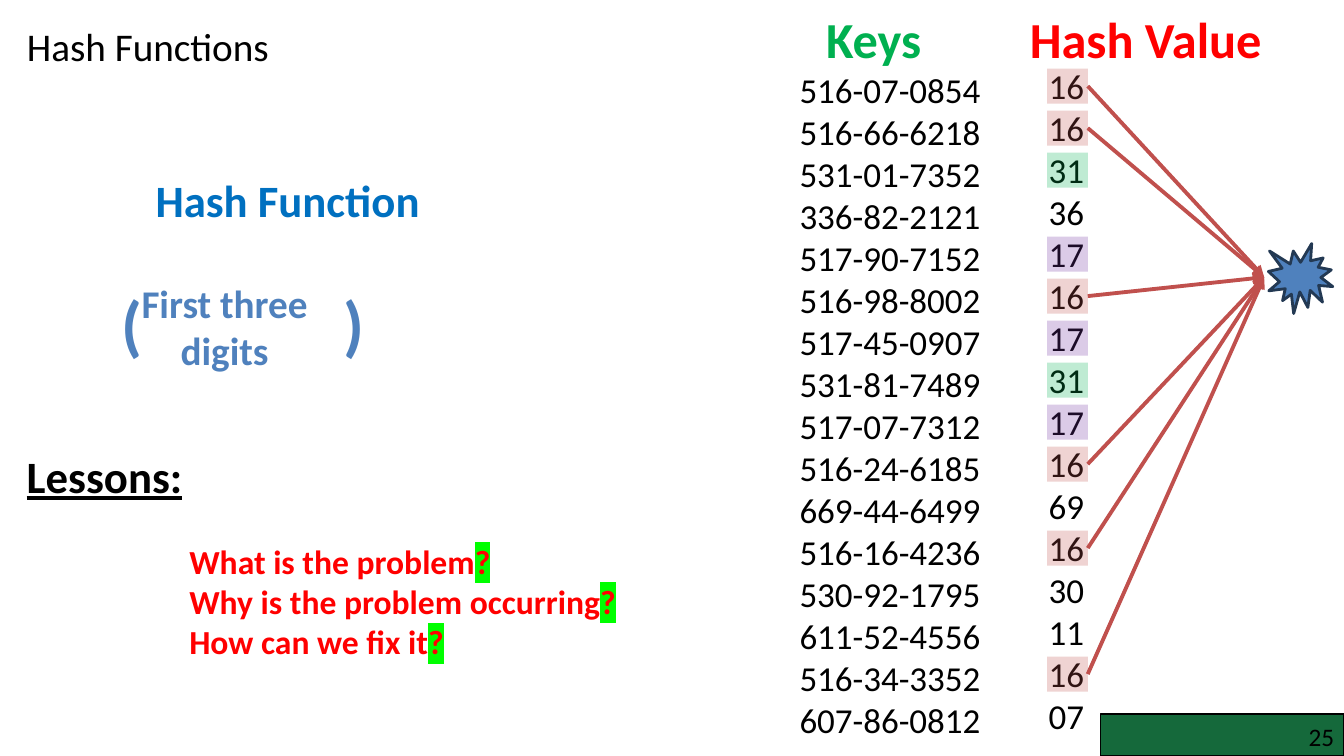
from lxml.etree import SubElement
from pptx import Presentation
from pptx.dml.color import RGBColor
from pptx.enum.shapes import MSO_CONNECTOR, MSO_SHAPE
from pptx.enum.text import MSO_ANCHOR, MSO_AUTO_SIZE, PP_ALIGN
from pptx.oxml import parse_xml
from pptx.oxml.ns import nsdecls, qn
from pptx.util import Pt

BLACK = RGBColor(0x00, 0x00, 0x00)
RED = RGBColor(0xFF, 0x00, 0x00)
LIME = RGBColor(0x00, 0xFF, 0x00)
GREEN = RGBColor(0x00, 0xB0, 0x50)
PURPLE = RGBColor(0x70, 0x30, 0xA0)
BRICK = RGBColor(0xC0, 0x50, 0x4D)
AZURE = RGBColor(0x00, 0x70, 0xC0)
BLUE = RGBColor(0x4F, 0x81, 0xBD)
NAVY = RGBColor(0x23, 0x39, 0x53)
FOREST = RGBColor(0x15, 0x69, 0x3B)

FONT = "Calibri"
PITCH = 30
ROWS = [
    ("516-07-0854", "16"), ("516-66-6218", "16"), ("531-01-7352", "31"),
    ("336-82-2121", "36"), ("517-90-7152", "17"), ("516-98-8002", "16"),
    ("517-45-0907", "17"), ("531-81-7489", "31"), ("517-07-7312", "17"),
    ("516-24-6185", "16"), ("669-44-6499", "69"), ("516-16-4236", "16"),
    ("530-92-1795", "30"), ("611-52-4556", "11"), ("516-34-3352", "16"),
    ("607-86-0812", "07"),
]
TINTS = {"16": BRICK, "31": GREEN, "17": PURPLE}
ASKS = ["What is the problem", "Why is the problem occurring",
        "How can we fix it"]


def place(shape, box):
    shape.left, shape.top, shape.width, shape.height = map(Pt, box)


def add_run(para, text, size, color, bold=False, mark=None):
    run = para.add_run()
    run.text = text
    font = run.font
    font.name, font.size, font.bold = FONT, Pt(size), bold
    font.color.rgb = color
    if mark is not None:
        glow = parse_xml(f'<a:highlight {nsdecls("a")}>'
                         f'<a:srgbClr val="{mark}"/></a:highlight>')
        font.fill._xPr.find(qn("a:solidFill")).addnext(glow)
    return run


def add_text(slide, box, lines, size, color, bold=False,
             align=PP_ALIGN.LEFT, pitch=None, wrap=True):
    shape = slide.shapes.add_textbox(*map(Pt, box))
    frame = shape.text_frame
    frame.word_wrap = wrap
    for i, line in enumerate(lines):
        para = frame.add_paragraph() if i else frame.paragraphs[0]
        para.alignment = align
        if pitch:
            para.line_spacing = Pt(pitch)
        add_run(para, line, size, color, bold)
    return shape


def add_form(slide, kind, box, fill, line=None, width=1):
    shape = slide.shapes.add_shape(kind, *map(Pt, box))
    shape.shadow.inherit = False
    shape.fill.solid()
    shape.fill.fore_color.rgb = fill
    if line is None:
        shape.line.fill.background()
    else:
        shape.line.color.rgb = line
        shape.line.width = Pt(width)
    return shape


def add_arrow(slide, x, y, tip):
    arrow = slide.shapes.add_connector(
        MSO_CONNECTOR.STRAIGHT, Pt(x), Pt(y), *map(Pt, tip))
    arrow.line.color.rgb = BRICK
    arrow.line.width = Pt(2.75)
    SubElement(arrow.line._get_or_add_ln(), qn("a:tailEnd"), type="triangle")
    SubElement(arrow._element.spPr, qn("a:effectLst"))


def add_title(slide, box):
    title = slide.shapes.title
    place(title, box)
    frame = title.text_frame
    frame.vertical_anchor = MSO_ANCHOR.TOP
    frame.auto_size = MSO_AUTO_SIZE.NONE
    para = frame.paragraphs[0]
    para.alignment = PP_ALIGN.LEFT
    add_run(para, "Hash Functions", 28, BLACK)


def add_rule(slide, box):
    """Name of the hash function and its rule in large brackets."""
    x, y, w, h = box
    add_text(slide, (x + 24, y, w - 24, 46), ["Hash Function"], 32, AZURE, True)
    words = add_text(slide, (x + 14, y + 76, 135, 75),
                     ["First three", "digits"], 28, BLUE, True, wrap=False)
    words.text_frame.paragraphs[1].alignment = PP_ALIGN.CENTER
    for left, sign in ((x, "("), (x + 158, ")")):
        add_text(slide, (left, y + 78, 29.5, 65.5), [sign], 48, BLUE, True,
                 wrap=False)


def add_asks(slide, box):
    """Lessons heading and its list of questions."""
    x, y, w, h = box
    head = add_text(slide, (x, y, 156, 46), ["Lessons:"], 32, BLACK, True)
    head.text_frame.paragraphs[0].runs[0].font.underline = True
    body = slide.placeholders[1]
    place(body, (x + 116, y + 65.5, w - 116, h - 65.5))
    frame = body.text_frame
    frame.auto_size = MSO_AUTO_SIZE.NONE
    for i, ask in enumerate(ASKS):
        para = frame.add_paragraph() if i else frame.paragraphs[0]
        props = para._p.get_or_add_pPr()
        props.set("marL", "0")
        props.set("indent", "0")
        SubElement(props, qn("a:buNone"))
        para.space_before = Pt(0)
        add_run(para, ask, 24, RED, True)
        add_run(para, "?", 24, RED, True, LIME)


def add_hashes(slide, box):
    """Keys, their hash values, and arrows from the clashing ones."""
    x, y, w, h = box
    keys, values = zip(*ROWS)
    add_text(slide, (x + 19, y, 163, 51), ["Keys"], 36, GREEN, True)
    add_text(slide, (x + 131, y, 247, 51), ["Hash Value"], 36, RED, True,
             PP_ALIGN.CENTER)
    add_text(slide, (x, y + 43.5, 170, 492), keys, 25, BLACK, pitch=PITCH)
    add_text(slide, (x + 178, y + 40.5, 69, 492), values, 25, BLACK,
             pitch=PITCH)

    # Tinted cells over repeated values
    left, top, wide, high = x + 184, y + 47, 29, 25
    tip = (x + 339, y + 196)
    for i, value in enumerate(values):
        if value not in TINTS:
            continue
        cell = (left, top + i * PITCH, wide, high)
        tint = add_form(slide, MSO_SHAPE.RECTANGLE, cell, TINTS[value])
        shade = tint.fill._xPr.find(qn("a:solidFill"))[0]
        SubElement(shade, qn("a:alpha"), val="25000")
        if value == "16":
            add_arrow(slide, left + wide, cell[1] + high / 2, tip)

    # Collision burst
    add_form(slide, MSO_SHAPE.EXPLOSION1, (x + 342, y + 172, 46, 50),
             BLUE, NAVY, 2)


def add_foot(slide, box):
    x, y, w, h = box
    add_form(slide, MSO_SHAPE.RECTANGLE, box, FOREST, BLACK)
    page = add_text(slide, (x, y + 5, w - 7, 22), ["25"], 18, BLACK,
                    align=PP_ALIGN.RIGHT)
    frame = page.text_frame
    frame.margin_left = frame.margin_right = 0
    frame.margin_top = frame.margin_bottom = 0


def main():
    deck = Presentation()
    deck.slide_width, deck.slide_height = Pt(960), Pt(540)
    slide = deck.slides.add_slide(deck.slide_layouts[1])
    add_foot(slide, (786, 510, 174, 30))
    add_title(slide, (12, 12, 211, 41))
    add_rule(slide, (80, 120, 263, 151))
    add_asks(slide, (12, 317, 598, 218))
    add_hashes(slide, (564, 2, 390, 536))
    deck.save("out.pptx")


if __name__ == "__main__":
    main()
